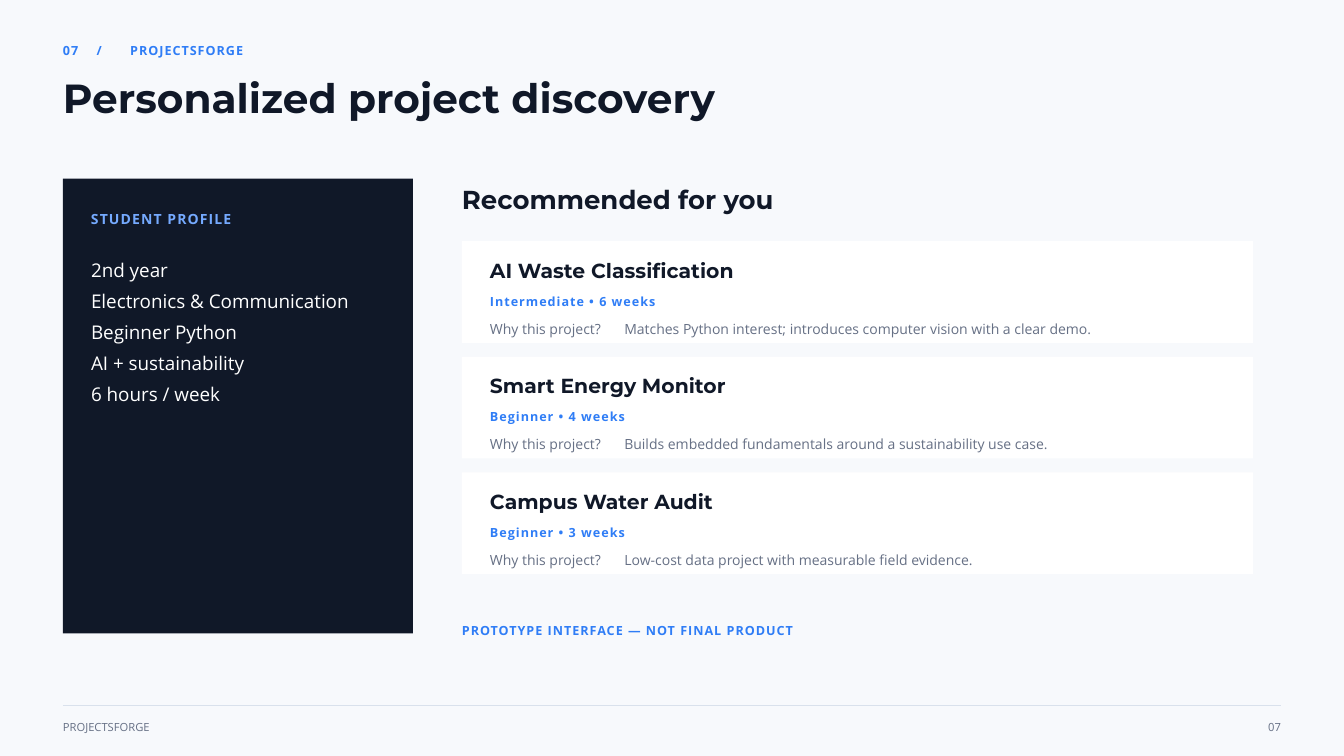
from lxml import etree
from pptx import Presentation
from pptx import util as u
from pptx.dml.color import RGBColor
from pptx.enum import shapes, text
from pptx.oxml.ns import qn

# Content
BRAND = "PROJECTSFORGE"
NUMBER = "07"
TITLE = "Personalized project discovery"
PROFILE = [
    "2nd year",
    "Electronics & Communication",
    "Beginner Python",
    "AI + sustainability",
    "6 hours / week",
]
PROJECTS = [
    ("AI Waste Classification", "Intermediate • 6 weeks",
     "Matches Python interest; introduces computer vision with a clear demo."),
    ("Smart Energy Monitor", "Beginner • 4 weeks",
     "Builds embedded fundamentals around a sustainability use case."),
    ("Campus Water Audit", "Beginner • 3 weeks",
     "Low-cost data project with measurable field evidence."),
]

# Colours, text styles and layout in centimetres
INK, BLUE, GREY, WHITE = "101828", "2F7DF6", "667085", "FFFFFF"
HEAD = dict(name="Montserrat", color=INK, bold=True)
LABEL = dict(size=13.5, leading=18.9, color=BLUE, bold=True, tracking=1.1)
NOTE = dict(size=15, leading=19.5, color=GREY)
FOOT = dict(size=12, leading=15.6, color=GREY)
WIDTH, HEIGHT = 50.8, 28.58
LEFT, RIGHT = 2.38, 48.42
PANEL_TOP, PANEL_WIDTH, PANEL_HEIGHT = 6.75, 13.23, 17.2
COLUMN = 17.46
CARD_TOP, CARD_WIDTH, CARD_HEIGHT, CARD_PITCH = 9.12, 29.9, 3.84, 4.37
PAD = 1.06


def rgb(value):
    return RGBColor.from_string(value)


def place(shape, left, top, width, height):
    shape.left, shape.top = u.Cm(left), u.Cm(top)
    shape.width, shape.height = u.Cm(width), u.Cm(height)


def write(box, content, size, leading, color, name="Open Sans", bold=False,
          tracking=0, align="LEFT", tabs=()):
    """Fill a box with one paragraph per line of content."""
    frame = box.text_frame
    frame.text = content
    frame.word_wrap = True
    frame.auto_size = text.MSO_AUTO_SIZE.NONE
    frame.vertical_anchor = text.MSO_ANCHOR.TOP
    frame.margin_left = frame.margin_right = 0
    frame.margin_top = frame.margin_bottom = 0
    for para in frame.paragraphs:
        para.alignment = text.PP_ALIGN[align]
        para.line_spacing = u.Pt(leading)
        para.space_before = u.Pt(0)
        for span in para.runs:
            font = span.font
            font.name, font.size, font.bold = name, u.Pt(size), bold
            font.color.rgb = rgb(color)
    # Bullets off, tab stops and letter spacing
    for props in box.element.iter(qn("a:pPr")):
        props.set("marL", "0")
        props.set("indent", "0")
        etree.SubElement(props, qn("a:buNone"))
        if tabs:
            stops = etree.SubElement(props, qn("a:tabLst"))
            for stop in tabs:
                etree.SubElement(stops, qn("a:tab"), pos=str(u.Cm(stop)), algn="l")
    if tracking:
        for props in box.element.iter(qn("a:rPr")):
            props.set("spc", str(round(tracking * 100)))


def add_text(page, content, left, top, width, height, **style):
    box = page.shapes.add_textbox(0, 0, 0, 0)
    place(box, left, top, width, height)
    write(box, content, **style)


def add_panel(page, left, top, width, height, fill):
    panel = page.shapes.add_shape(shapes.MSO_SHAPE.RECTANGLE, 0, 0, 0, 0)
    place(panel, left, top, width, height)
    panel.shadow.inherit = False
    panel.fill.solid()
    panel.fill.fore_color.rgb = rgb(fill)
    panel.line.fill.background()


def main():
    deck = Presentation()
    deck.slide_width, deck.slide_height = u.Cm(WIDTH), u.Cm(HEIGHT)
    page = deck.slides.add_slide(deck.slide_layouts[1])
    page.background.fill.solid()
    page.background.fill.fore_color.rgb = rgb("F7F9FC")

    # Header
    add_text(page, f"{NUMBER}\t/\t{BRAND}", LEFT, 1.51, 17.2, 0.64,
             tabs=(0.95, 1.48), **LABEL)
    title = page.shapes.title
    place(title, LEFT, 3, 39.69, 1.67)
    write(title, TITLE, size=43.5, leading=45.7, **HEAD)

    # Student profile, with the list brought in front of its panel
    add_panel(page, LEFT, PANEL_TOP, PANEL_WIDTH, PANEL_HEIGHT, INK)
    add_text(page, "STUDENT PROFILE", LEFT + PAD, 7.87, 10.58, 0.69,
             size=15, leading=21, color="75AAFF", bold=True, tracking=1.2)
    profile = page.placeholders[1]
    page.shapes.element.append(profile.element)
    place(profile, LEFT + PAD, 9.45, 10.32, 5.69)
    write(profile, "\n".join(PROFILE), size=20.2, leading=33.4, color=WHITE)

    # Recommended projects
    add_text(page, "Recommended for you", COLUMN, 7.09, 23.81, 1.07,
             size=27.8, leading=29.1, **HEAD)
    for index, (project, effort, reason) in enumerate(PROJECTS):
        top = CARD_TOP + index * CARD_PITCH
        left = COLUMN + PAD
        add_panel(page, COLUMN, top, CARD_WIDTH, CARD_HEIGHT, WHITE)
        add_text(page, project, left, top + 0.75, 20.11, 0.84,
                 size=21.8, leading=22.8, **HEAD)
        add_text(page, effort, left, top + 1.89, 15.88, 0.64, **LABEL)
        add_text(page, f"Why this project?\t{reason}", left, top + 2.93,
                 24.87, 0.66, tabs=(4.46,), **NOTE)
    add_text(page, "PROTOTYPE INTERFACE — NOT FINAL PRODUCT",
             COLUMN, 23.47, 18.52, 0.64, **LABEL)

    # Footer
    rule = page.shapes.add_connector(
        shapes.MSO_CONNECTOR.STRAIGHT,
        u.Cm(LEFT), u.Cm(26.67), u.Cm(RIGHT), u.Cm(26.67))
    rule.line.color.rgb = rgb("D9E1EC")
    rule.line.width = u.Pt(0.75)
    etree.SubElement(rule.element.spPr, qn("a:effectLst"))
    add_text(page, BRAND, LEFT, 27.18, 7.94, 0.5, **FOOT)
    add_text(page, NUMBER, RIGHT - 1.86, 27.18, 1.86, 0.5, align="RIGHT", **FOOT)

    deck.save("out.pptx")


if __name__ == "__main__":
    main()
